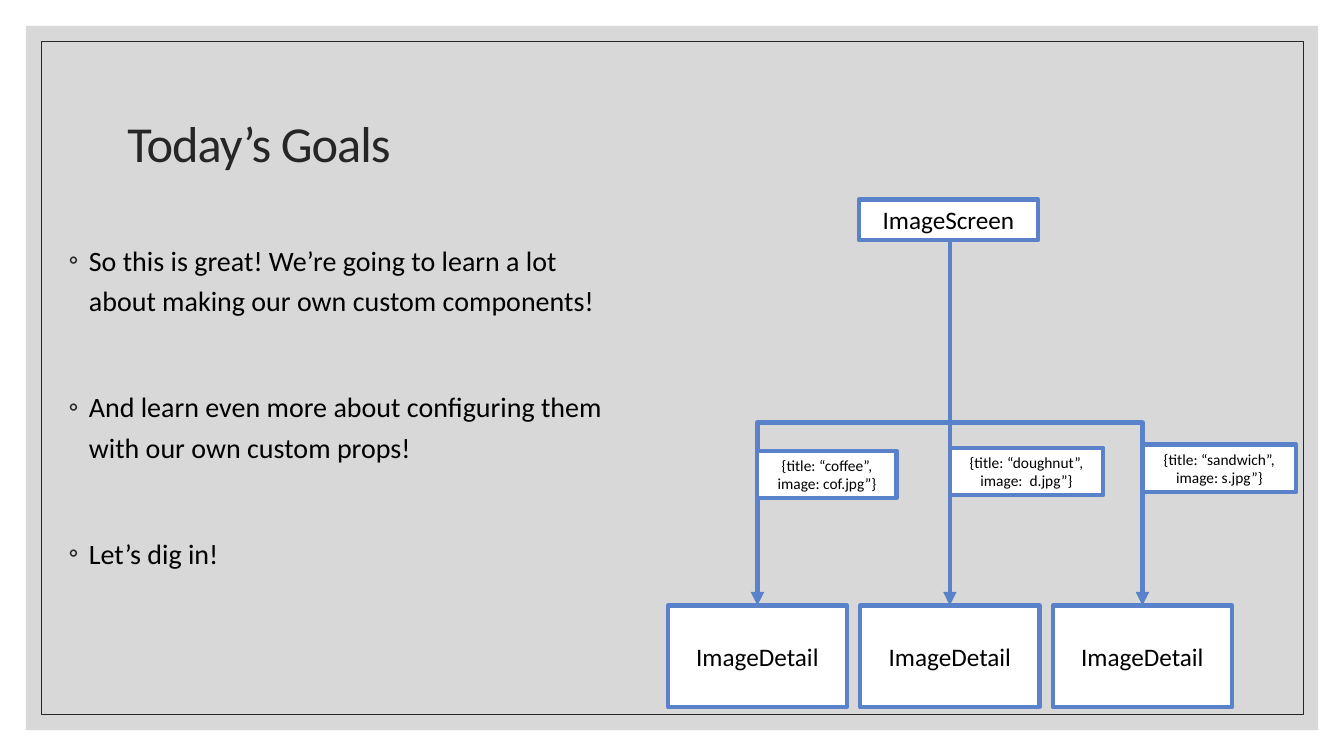
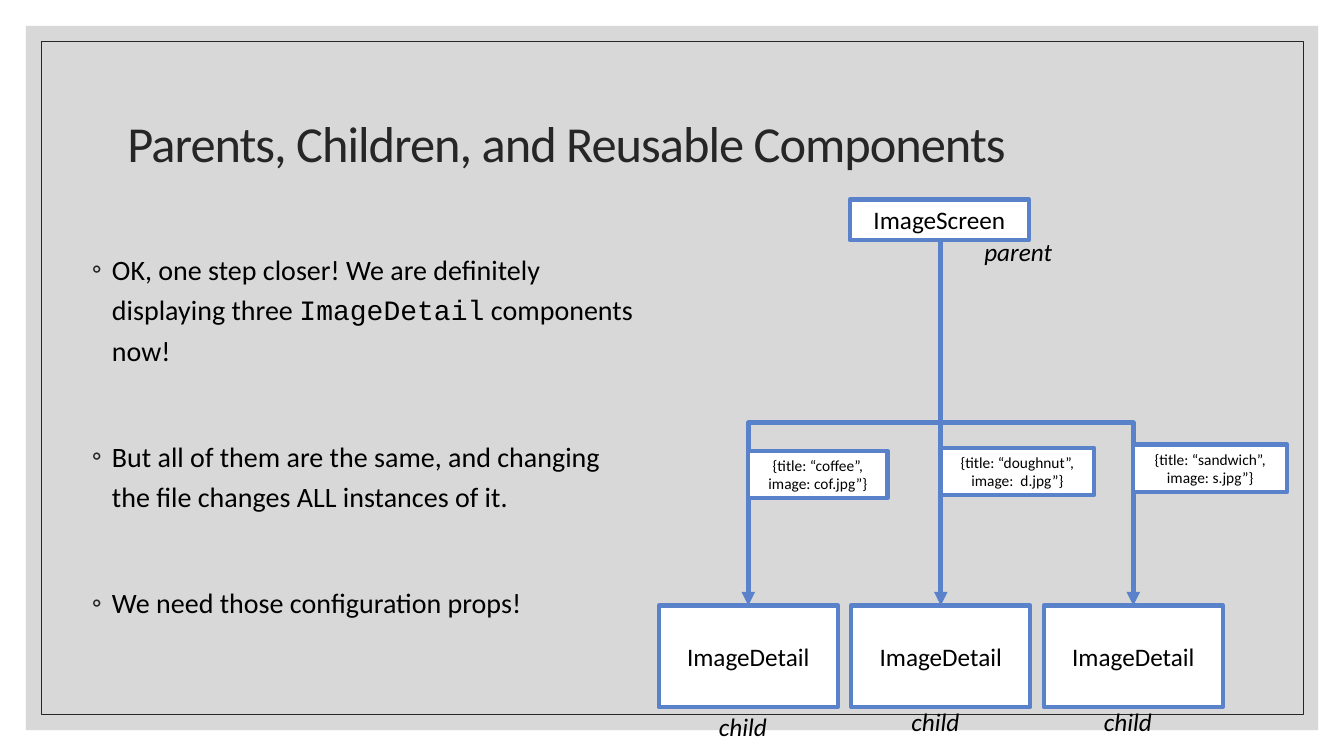
from lxml import etree
from pptx import Presentation
from pptx.dml.color import RGBColor
from pptx.enum import shapes, text
from pptx.oxml.ns import qn
from pptx.util import Pt

rgb = RGBColor.from_string
FONT, MONO = "Calibri", "Courier New"
WHITE, BLACK, INK = "FFFFFF", "000000", "262626"
GREY, BLUE = "BFBFBF", "5A82CB"
MID = text.MSO_ANCHOR.MIDDLE
TOP = text.MSO_ANCHOR.TOP
LEFT = text.PP_ALIGN.LEFT
CENTER = text.PP_ALIGN.CENTER

CHILD_W, CHILD_H, STEP = 128, 72.5, 137.5
HEAD_Y, HEAD_H, CHILD_Y = 142.5, 29, 432.5
TAGS = [
    (99.5, "{title: “coffee”,", "image: cof.jpg”}"),
    (109.5, "{title: “doughnut”,", "image:  d.jpg”}"),
    (110, "{title: “sandwich”,", "image: s.jpg”}"),
]

# Each body line is a tuple of parts; every second part is code.
SLIDES = [
    {
        "title": "Today’s Goals",
        "body": (42, 165.5, 407.5, 303),
        "lines": [
            ("So this is great! We’re going to learn a lot about making "
             "our own custom components!",),
            ("And learn even more about configuring them with our own "
             "custom props!",),
            ("Let’s dig in!",),
        ],
        "tree": 477,
        "roles": False,
    },
    {
        "title": "Parents, Children, and Reusable Components",
        "body": (58.5, 172, 402.5, 303),
        "lines": [
            ("OK, one step closer! We are definitely displaying three ",
             "ImageDetail", " components now!"),
            ("But all of them are the same, and changing the file changes "
             "ALL instances of it.",),
            ("We need those configuration props!",),
        ],
        "tree": 470.5,
        "roles": True,
    },
]


def box(slide, area, fill=None, line=None, width=3):
    """Add a rectangle; without fill and line it is a plain text box."""
    area = [Pt(n) for n in area]
    if not fill and not line:
        return slide.shapes.add_textbox(*area)
    rect = slide.shapes.add_shape(shapes.MSO_SHAPE.RECTANGLE, *area)
    rect.shadow.inherit = False
    if fill:
        rect.fill.solid()
        rect.fill.fore_color.rgb = rgb(fill)
    else:
        rect.fill.background()
    if line:
        rect.line.color.rgb = rgb(line)
        rect.line.width = Pt(width)
    else:
        rect.line.fill.background()
    return rect


def write(shape, lines, size, color=BLACK, align=CENTER, anchor=MID,
          italic=False):
    """Fill a shape with lines of parts and return its paragraphs."""
    frame = shape.text_frame
    frame.word_wrap = True
    frame.vertical_anchor = anchor
    for i, line in enumerate(lines):
        para = frame.add_paragraph() if i else frame.paragraphs[0]
        para.alignment = align
        for j, part in enumerate(line):
            run = para.add_run()
            run.text = part
            run.font.name = MONO if j % 2 else FONT
            run.font.size = Pt(size)
            run.font.italic = italic
            run.font.color.rgb = rgb(color)
    return frame.paragraphs


deck = Presentation()
deck.slide_width, deck.slide_height = Pt(960), Pt(540)

for data in SLIDES:
    slide = deck.slides.add_slide(deck.slide_layouts[6])

    # Frame
    panel = box(slide, (18.5, 18.5, 923, 503), fill=GREY)
    tint = panel._element.spPr.find(".//" + qn("a:srgbClr"))
    etree.SubElement(tint, qn("a:alpha"), val="60000")
    box(slide, (29.5, 29.5, 901.5, 481), line=INK, width=0.5)

    # Title
    title = box(slide, (84, 50.5, 792, 108))
    para = write(title, [(data["title"],)], 36, INK, LEFT)[0]
    para.line_spacing = 0.9
    para.runs[0].font._element.set("spc", "-70")

    # Bullets
    body = box(slide, data["body"])
    for i, para in enumerate(write(body, data["lines"], 20, BLACK, LEFT, TOP)):
        para.line_spacing = 1.2
        if i:
            para.space_before = Pt(47)
        props = para._element.get_or_add_pPr()
        props.set("marL", str(Pt(14.4)))
        props.set("indent", str(-Pt(14.4)))
        dot = etree.SubElement(props, qn("a:buClr"))
        etree.SubElement(dot, qn("a:srgbClr"), val=INK)
        etree.SubElement(props, qn("a:buFont"), typeface=FONT)
        etree.SubElement(props, qn("a:buChar"), char="◦")

    # Parent and children
    lefts = [data["tree"] + STEP * i for i in range(len(TAGS))]
    mids = [left + CHILD_W / 2 for left in lefts]
    head = box(slide, (lefts[1] - 1, HEAD_Y, CHILD_W, HEAD_H), WHITE, BLUE)
    write(head, [("ImageScreen",)], 18)
    for left in lefts:
        child = box(slide, (left, CHILD_Y, CHILD_W, CHILD_H), WHITE, BLUE)
        write(child, [("ImageDetail",)], 18)

    # Arrows: an elbow starts sideways, so it is laid flat and then turned
    start, foot = mids[1], HEAD_Y + HEAD_H
    for end in mids:
        if end == start:
            kind, turn = shapes.MSO_CONNECTOR.STRAIGHT, 0
            ends = start, foot, end, CHILD_Y
        else:
            kind = shapes.MSO_CONNECTOR.ELBOW
            turn = 90 if end < start else 270
            side = 1 if end < start else -1
            midx, midy = (start + end) / 2, (foot + CHILD_Y) / 2
            dx, dy = side * (CHILD_Y - foot) / 2, abs(end - start) / 2
            ends = midx - dx, midy - dy, midx + dx, midy + dy
        arrow = slide.shapes.add_connector(kind, *[Pt(n) for n in ends])
        arrow.line.color.rgb = rgb(BLUE)
        arrow.line.width = Pt(3.25)
        props = arrow._element.spPr
        if turn:
            props.find(qn("a:xfrm")).set("rot", str(turn * 60000))
        etree.SubElement(props.find(qn("a:ln")), qn("a:tailEnd"),
                         type="triangle")
        etree.SubElement(props, qn("a:effectLst"))

    # Props beside each arrow
    for i, (wide, *lines) in enumerate(TAGS):
        tag = box(slide, (mids[i], 322 - 2.25 * i, wide, 34), WHITE, BLUE)
        write(tag, [(line,) for line in lines], 11)

    # Roles
    if data["roles"]:
        roles = [("parent", lefts[1] + 88, 165.5, 70)]
        roles += [("child", left + 36, y, 56)
                  for left, y in zip(lefts, (504.5, 501, 501))]
        for word, x, y, wide in roles:
            role = box(slide, (x, y, wide, 29))
            write(role, [(word,)], 18, align=LEFT, anchor=TOP, italic=True)

deck.save("out.pptx")
